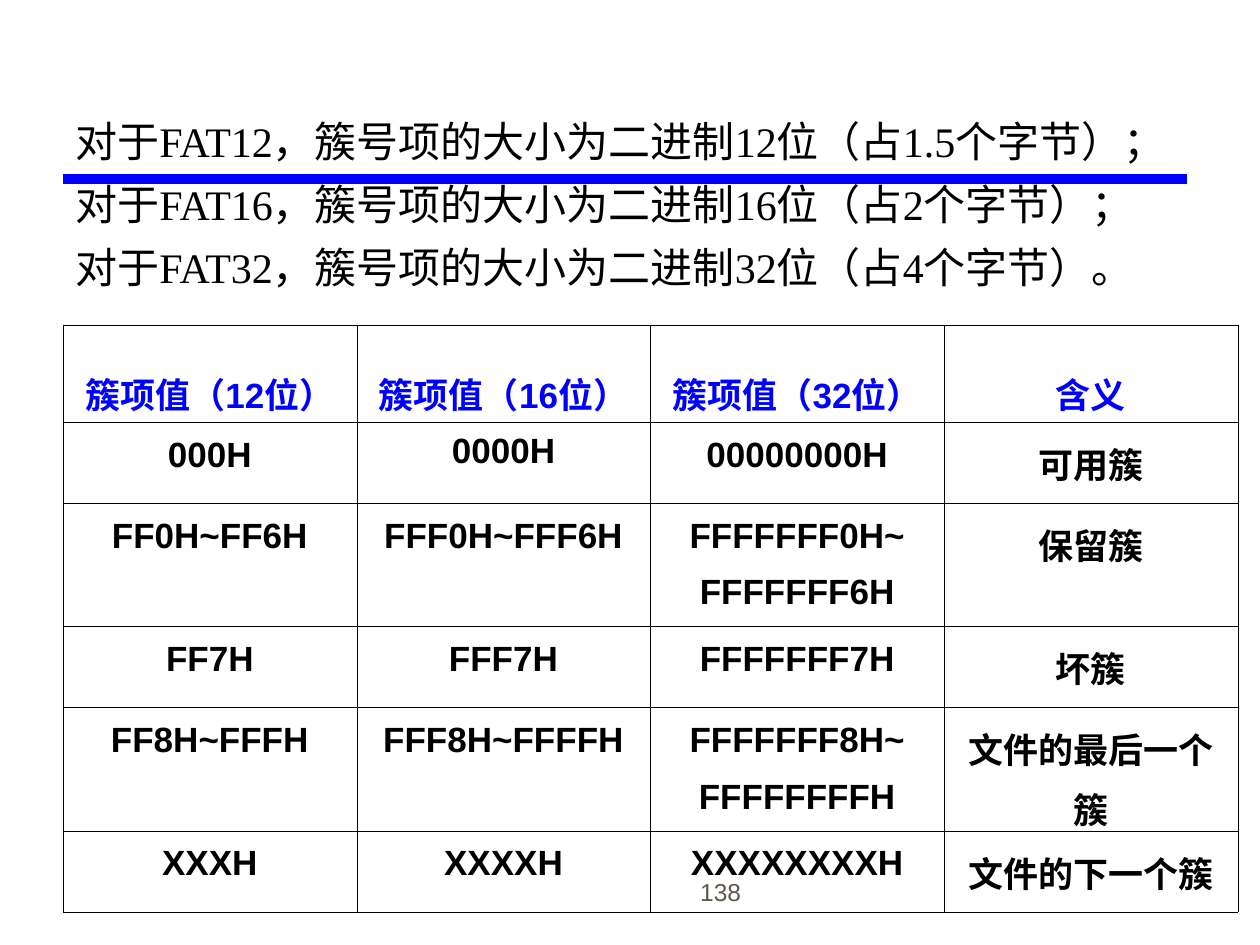
from dataclasses import dataclass

from lxml import etree
from pptx import Presentation
from pptx import util as u
from pptx.dml.color import RGBColor
from pptx.enum import shapes, text
from pptx.oxml.ns import qn

COLORS = {"black": "000000", "blue": "0000FF", "grey": "5E574E"}


@dataclass(frozen=True)
class Style:
    size: float
    font: str
    color: str
    bold: bool = False
    align: text.PP_ALIGN = text.PP_ALIGN.LEFT
    spacing: float = 1.0
    before: float = 0


@dataclass(frozen=True)
class TextBox:
    left: float
    top: float
    width: float
    height: float
    lines: tuple[str, ...]
    style: Style
    anchor: text.MSO_ANCHOR = text.MSO_ANCHOR.TOP


CENTER = text.PP_ALIGN.CENTER
BODY = Style(24, "Times New Roman", "black", before=6.6)
NUMBER = Style(14, "Arial", "grey", align=text.PP_ALIGN.RIGHT)
HEADER = Style(20, "Arial", "blue", True, CENTER, 0.68)
CELL = Style(20, "Arial", "black", True, CENTER, 1.18, 5.6)
TIGHT_CELL = Style(20, "Arial", "black", True, CENTER, 1.08)

PAGE_NUMBER = TextBox(9.91, 17.12, 5.28, 1.27, ("138",), NUMBER,
                      text.MSO_ANCHOR.BOTTOM)
SIZES = TextBox(1.27, 2.21, 24.92, 4.78, (
    "对于FAT12，簇号项的大小为二进制12位（占1.5个字节）；",
    "对于FAT16，簇号项的大小为二进制16位（占2个字节）；",
    "对于FAT32，簇号项的大小为二进制32位（占4个字节）。",
), BODY)

# Row height in cm, then the cell texts
CLUSTER_ROWS = (
    (1.96, ("簇项值（12位）", "簇项值（16位）", "簇项值（32位）", "含义")),
    (1.63, ("000H", "0000H", "00000000H", "可用簇")),
    (2.49, ("FF0H~FF6H", "FFF0H~FFF6H", "FFFFFFF0H~\nFFFFFFF6H", "保留簇")),
    (1.63, ("FF7H", "FFF7H", "FFFFFFF7H", "坏簇")),
    (2.49, ("FF8H~FFFH", "FFF8H~FFFFH", "FFFFFFF8H~\nFFFFFFFFH",
            "文件的最后一个簇")),
    (1.63, ("XXXH", "XXXXH", "XXXXXXXXH", "文件的下一个簇")),
)
COLUMN_WIDTH = 5.92


def rgb(name: str) -> RGBColor:
    return RGBColor.from_string(COLORS[name])


def write(tf, lines: tuple[str, ...], style: Style) -> None:
    for i, line in enumerate(lines):
        p = tf.add_paragraph() if i else tf.paragraphs[0]
        p.add_run().text = line
        p.alignment = style.align
        p.line_spacing = style.spacing
        p.space_before = u.Pt(style.before if i else 0)
        p.space_after = u.Pt(0.6)
        p.font.size = u.Pt(style.size)
        p.font.name = style.font
        p.font.bold = style.bold
        p.font.color.rgb = rgb(style.color)


def draw_text(s, box: TextBox) -> None:
    sp = s.shapes.add_textbox(u.Cm(box.left), u.Cm(box.top),
                              u.Cm(box.width), u.Cm(box.height))
    tf = sp.text_frame
    tf.word_wrap = True
    tf.vertical_anchor = box.anchor
    write(tf, box.lines, box.style)


def draw_rule(s, left: float, right: float, y: float) -> None:
    sp = s.shapes.add_connector(shapes.MSO_CONNECTOR.STRAIGHT,
                                u.Cm(left), u.Cm(y), u.Cm(right), u.Cm(y))
    sp.line.color.rgb = rgb("blue")
    sp.line.width = u.Pt(6)
    etree.SubElement(sp._element.spPr, qn("a:effectLst"))


def add_borders(cell) -> None:
    tc_pr = cell._tc.get_or_add_tcPr()
    for i, side in enumerate(("lnL", "lnR", "lnT", "lnB")):
        ln = etree.Element(qn(f"a:{side}"), w=str(u.Pt(0.06)))
        fill = etree.SubElement(ln, qn("a:solidFill"))
        etree.SubElement(fill, qn("a:srgbClr"), val=COLORS["black"])
        tc_pr.insert(i, ln)


def cell_style(row: int, col: int) -> Style:
    if row == 0:
        return HEADER
    return TIGHT_CELL if (row, col) == (1, 1) else CELL


def draw_table(s, left: float, top: float) -> None:
    n_cols = len(CLUSTER_ROWS[0][1])
    height = sum(h for h, _ in CLUSTER_ROWS)
    table = s.shapes.add_table(len(CLUSTER_ROWS), n_cols, u.Cm(left), u.Cm(top),
                               u.Cm(COLUMN_WIDTH * n_cols), u.Cm(height)).table
    table.first_row = table.horz_banding = False
    for column in table.columns:
        column.width = u.Cm(COLUMN_WIDTH)
    for r, (row_height, values) in enumerate(CLUSTER_ROWS):
        table.rows[r].height = u.Cm(row_height)
        for c, value in enumerate(values):
            cell = table.cell(r, c)
            cell.fill.background()
            cell.vertical_anchor = (text.MSO_ANCHOR.TOP if r
                                    else text.MSO_ANCHOR.BOTTOM)
            write(cell.text_frame, tuple(value.split("\n")), cell_style(r, c))
            add_borders(cell)


def main() -> None:
    prs = Presentation()
    prs.slide_width, prs.slide_height = u.Cm(25.4), u.Cm(19.05)
    s = prs.slides.add_slide(prs.slide_layouts[6])

    # Rule behind the text, then page number, field sizes and cluster values
    draw_rule(s, 1.27, 23.93, 3.61)
    draw_text(s, PAGE_NUMBER)
    draw_text(s, SIZES)
    draw_table(s, 1.27, 6.55)

    prs.save("out.pptx")


if __name__ == "__main__":
    main()
